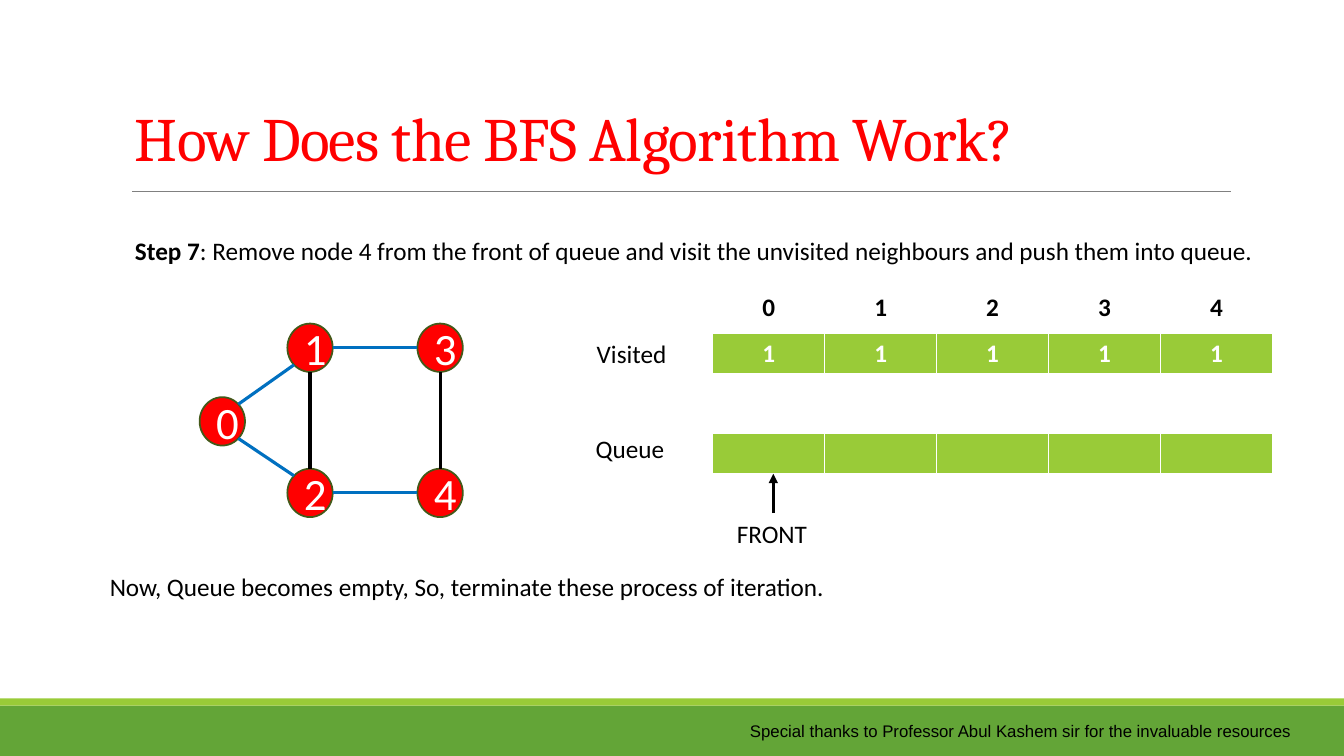
from math import sqrt

from lxml.etree import SubElement
from pptx import Presentation
from pptx.dml.color import RGBColor
from pptx.enum.shapes import MSO_CONNECTOR, MSO_SHAPE
from pptx.enum.text import MSO_ANCHOR, MSO_AUTO_SIZE, PP_ALIGN
from pptx.oxml.ns import qn
from pptx.util import Inches, Pt

WIDTH, HEIGHT = 13.33, 7.5
BLACK, WHITE, RED, BLUE = "000000", "FFFFFF", "FF0000", "0070C0"
LIME, GREEN, DARK_GREEN, GREY = "99CB38", "63A537", "435919", "808080"

TABLE_LEFT, COLUMN, ROW = 7.07, 1.11, 0.41
NODE_WIDTH, NODE_HEIGHT = 0.45, 0.48
NODES = {"0": (1.98, 3.94), "1": (2.85, 3.21), "2": (2.85, 4.65),
         "3": (4.14, 3.21), "4": (4.14, 4.65)}
EDGES = [("1", "0", BLUE), ("2", "0", BLUE), ("2", "4", BLUE),
         ("1", "3", BLUE), ("3", "4", BLACK), ("1", "2", BLACK)]


def color(value):
    return RGBColor.from_string(value)


def set_font(font, size, value, name="Calibri", bold=None):
    font.size, font.name, font.bold = Pt(size), name, bold
    font.color.rgb = color(value)


def add_block(slide, kind, box, fill, outline=None):
    shape = slide.shapes.add_shape(kind, *map(Inches, box))
    shape.shadow.inherit = False
    shape.fill.solid()
    shape.fill.fore_color.rgb = color(fill)
    if outline:
        shape.line.color.rgb = color(outline)
        shape.line.width = Pt(1.25)
    else:
        shape.line.fill.background()
    return shape


def add_line(slide, start, end, value, width=2.25, arrow=False):
    line = slide.shapes.add_connector(
        MSO_CONNECTOR.STRAIGHT, *map(Inches, (*start, *end)))
    line.line.color.rgb = color(value)
    line.line.width = Pt(width)
    properties = line._element.spPr
    if arrow:
        SubElement(properties.find(qn("a:ln")), qn("a:tailEnd"), type="triangle")
    SubElement(properties, qn("a:effectLst"))


def add_text(slide, box, text, size=18, name="Calibri", lead=""):
    """Add one unwrapped line, with an optional bold lead-in."""
    frame = slide.shapes.add_textbox(*map(Inches, box)).text_frame
    frame.word_wrap = False
    frame.auto_size = MSO_AUTO_SIZE.SHAPE_TO_FIT_TEXT
    paragraph = frame.paragraphs[0]
    set_font(paragraph.font, size, BLACK, name)
    if lead:
        run = paragraph.add_run()
        run.text = lead
        run.font.bold = True
    paragraph.add_run().text = text


def add_title(slide, text):
    frame = slide.shapes.add_textbox(
        *map(Inches, (1.24, 0.19, 11.46, 1.59))).text_frame
    frame.word_wrap = True
    frame.vertical_anchor = MSO_ANCHOR.BOTTOM
    paragraph = frame.paragraphs[0]
    paragraph.line_spacing = 0.85
    set_font(paragraph.font, 44, RED, "Cambria")
    run = paragraph.add_run()
    run.text = text
    run.font._element.set("spc", "-50")


def add_node(slide, label, position):
    node = add_block(slide, MSO_SHAPE.OVAL,
                     (*position, NODE_WIDTH, NODE_HEIGHT), RED, DARK_GREEN)
    node.text_frame.vertical_anchor = MSO_ANCHOR.MIDDLE
    paragraph = node.text_frame.paragraphs[0]
    paragraph.text = label
    paragraph.alignment = PP_ALIGN.CENTER
    set_font(paragraph.font, 32, WHITE)


def sign(value):
    return (value > 0) - (value < 0)


def rim_point(node, other):
    """Return the point of a node's rim, in steps of 45 degrees, towards another."""
    (left, top), (other_left, other_top) = NODES[node], NODES[other]
    across, down = sign(other_left - left), sign(other_top - top)
    reach = sqrt(0.5) if across and down else 1
    return (left + NODE_WIDTH / 2 * (1 + across * reach),
            top + NODE_HEIGHT / 2 * (1 + down * reach))


def add_cells(slide, top, values, text_color, fill=None):
    """Add a one-row table with white borders."""
    table = slide.shapes.add_table(
        1, len(values), Inches(TABLE_LEFT), Inches(top),
        Inches(COLUMN * len(values)), Inches(ROW)).table
    table.first_row = table.horz_banding = False
    for index, value in enumerate(values):
        table.columns[index].width = Inches(COLUMN)
        cell = table.cell(0, index)
        properties = cell._tc.get_or_add_tcPr()
        for side, width in (("L", 1), ("R", 1), ("T", 1), ("B", 3)):
            border = SubElement(properties, qn(f"a:ln{side}"), w=str(Pt(width)))
            solid = SubElement(border, qn("a:solidFill"))
            SubElement(solid, qn("a:srgbClr"), val=WHITE)
        if fill:
            cell.fill.solid()
            cell.fill.fore_color.rgb = color(fill)
        else:
            cell.fill.background()
        paragraph = cell.text_frame.paragraphs[0]
        paragraph.text = value
        paragraph.alignment = PP_ALIGN.CENTER
        set_font(paragraph.font, 18, text_color, bold=True)


def main():
    presentation = Presentation()
    presentation.slide_width = Inches(WIDTH)
    presentation.slide_height = Inches(HEIGHT)
    slide = presentation.slides.add_slide(presentation.slide_layouts[6])

    add_block(slide, MSO_SHAPE.RECTANGLE, (0, 7, WIDTH, 0.5), GREEN)
    add_block(slide, MSO_SHAPE.RECTANGLE, (0, 6.93, WIDTH, 0.07), LIME)
    add_line(slide, (1.31, 1.9), (12.21, 1.9), GREY, 0.5)
    add_title(slide, "How Does the BFS Algorithm Work?")
    add_text(slide, (7.34, 7.1, 5.73, 0.3),
             "Special thanks to Professor Abul Kashem sir for the invaluable resources",
             12, "Arial")
    add_text(slide, (1.24, 2.29, 11.62, 0.4),
             ": Remove node 4 from the front of queue and visit the unvisited "
             "neighbours and push them into queue.", lead="Step 7")

    for label, position in NODES.items():
        add_node(slide, label, position)
    for start, end, value in EDGES:
        add_line(slide, rim_point(start, end), rim_point(end, start), value)

    add_cells(slide, 2.85, list(NODES), BLACK)
    add_cells(slide, 3.31, ["1"] * len(NODES), WHITE, LIME)
    add_cells(slide, 4.3, [""] * len(NODES), WHITE, LIME)
    add_text(slide, (5.82, 3.31, 0.9, 0.4), "Visited")
    add_text(slide, (5.81, 4.25, 0.89, 0.4), "Queue")
    add_text(slide, (7.21, 5.09, 0.9, 0.4), "FRONT")
    add_line(slide, (7.67, 5.09), (7.67, 4.7), BLACK, arrow=True)
    add_text(slide, (0.99, 5.62, 7.31, 0.4),
             "Now, Queue becomes empty, So, terminate these process of iteration.")

    presentation.save("out.pptx")


if __name__ == "__main__":
    main()
